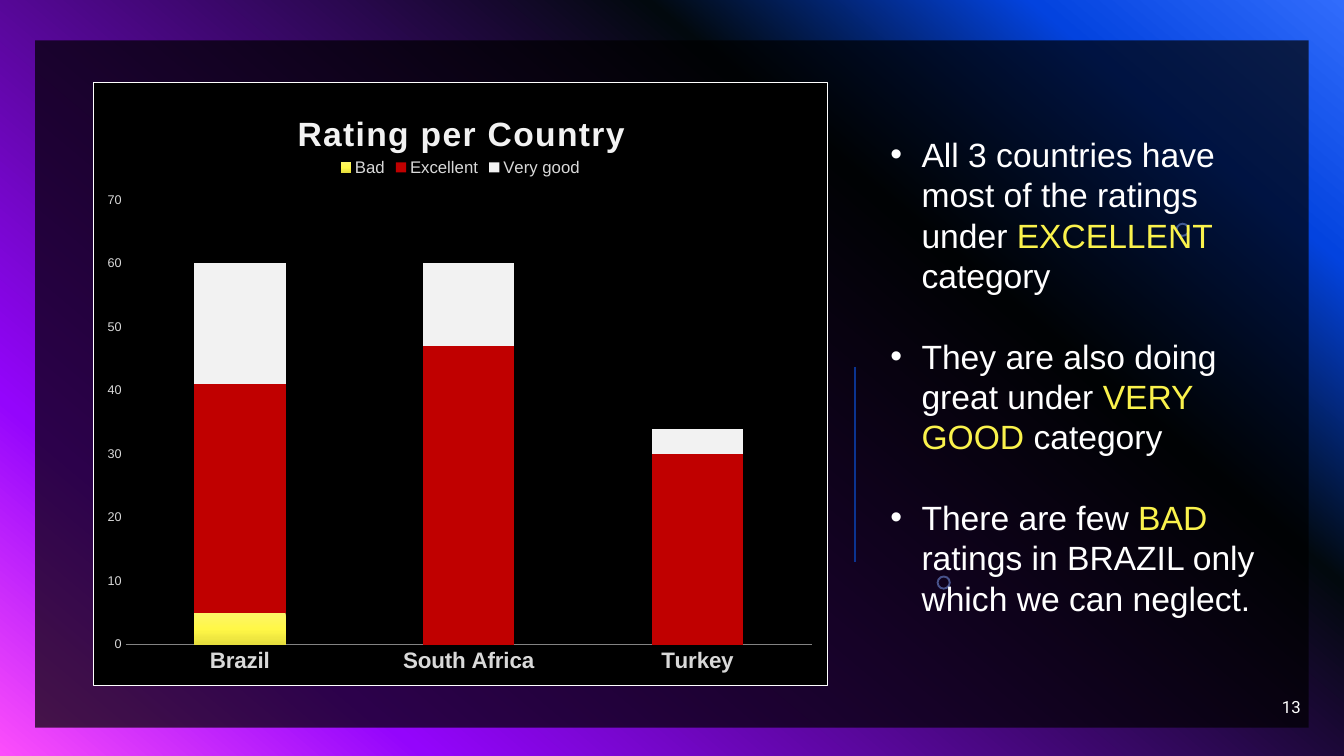
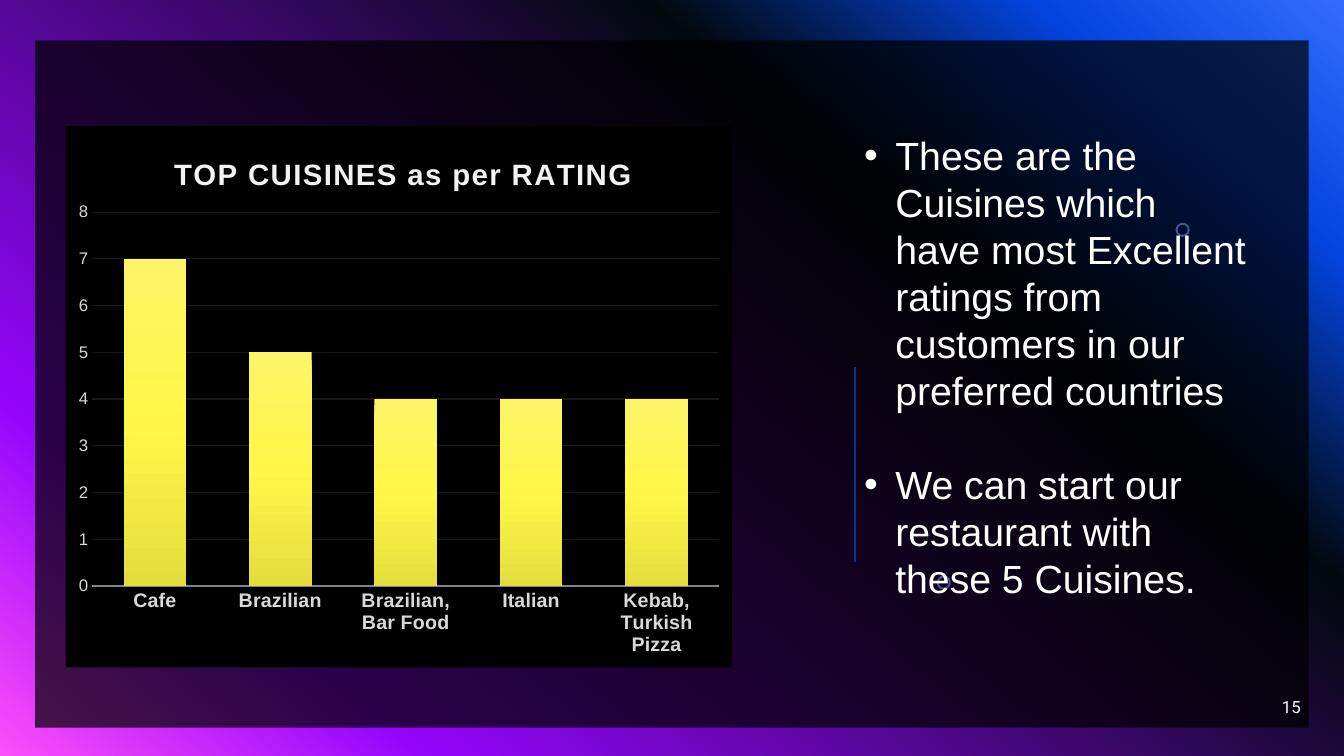
from lxml import etree
from pptx import Presentation
from pptx.chart.data import CategoryChartData
from pptx.dml.color import RGBColor
from pptx.enum import chart as ch, shapes, text
from pptx.oxml import parse_xml
from pptx.oxml.ns import nsdecls, qn
from pptx.util import Inches, Pt

HUE = {"black": "000000", "white": "FFFFFF", "pale": "F2F2F2", "label": "D9D9D9",
       "axis": "838383", "grid": "181818", "red": "C00000", "gold": "FAF24C",
       "ring": "83A7FD", "rule": "0B3491"}
NIGHT = [(0, "316CFC"), (14, "0343DF"), (31, "02090E"), (81, "9405FC"), (100, "FC4EFB")]
SUN = [(0, "FDF567"), (50, "FFF747"), (100, "E5DD3D")]


def grad(fill, root, stops, angle):
    fill.gradient()
    fill.gradient_angle = 360 - angle
    group = next(root.iter(qn("a:gsLst")))
    for old in list(group):
        group.remove(old)
    for pos, hue in stops:
        stop = etree.SubElement(group, qn("a:gs"), pos=str(pos * 1000))
        etree.SubElement(stop, qn("a:srgbClr"), val=hue)


def style(font, hue, **form):
    font.color.rgb = RGBColor.from_string(HUE[hue])
    for key, val in ({"name": "Arial"} | form).items():
        setattr(font, key, val)


PAGES = [
    {"num": "13", "box": (8.73, 1.28, 3.86, 4.95), "size": 24,
     "text": [[("All 3 countries have most of the ratings under ", "white"),
               ("EXCELLENT", "gold"), (" category", "white")],
              [("They are also doing great under ", "white"),
               ("VERY GOOD", "gold"), (" category", "white")],
              [("There are few ", "white"), ("BAD", "gold"),
               (" ratings in BRAZIL only which we can neglect.", "white")]],
     "frame": (0.92, 0.81, 7.29, 6), "kind": ch.XL_CHART_TYPE.COLUMN_STACKED,
     "title": "Rating per Country", "head": 24, "cats": ["Brazil", "South Africa", "Turkey"],
     "data": {"Bad": (5, None, None), "Excellent": (36, 47, 30), "Very good": (19, 13, 4)},
     "fills": [None, "red", "pale"], "gap": 150, "lap": 100, "top": 70, "step": 10,
     "sizes": (16, 9), "key": True, "grid": False, "edge": True,
     "spots": {"c:title": (0.27, 0.04), "c:legend": (0.33, 0.12),
               "c:plotArea": (0.044, 0.195, 0.935, 0.737)}},
    {"num": "15", "box": (8.47, 1.25, 3.99, 5.62), "size": 28,
     "text": [[("These are the Cuisines which have most Excellent ratings from "
                "customers in our preferred countries", "white")],
              [("We can start our restaurant with these 5 Cuisines.", "white")]],
     "frame": (0.65, 1.25, 6.61, 5.37), "kind": ch.XL_CHART_TYPE.COLUMN_CLUSTERED,
     "title": "TOP CUISINES as per RATING", "head": 21,
     "cats": ["Cafe", "Brazilian", "Brazilian, Bar Food", "Italian", "Kebab, Turkish Pizza"],
     "data": {"Series 1": (7, 5, 4, 4, 4)},
     "fills": [None], "gap": 100, "lap": -24, "top": 8, "step": 1,
     "sizes": (14, 12), "key": False, "grid": True, "edge": False,
     "spots": {"c:title": (0.155, 0.045), "c:plotArea": (0.04, 0.159, 0.941, 0.691)}},
]

deck = Presentation()
deck.slide_width, deck.slide_height = Inches(13.33), Inches(7.5)
master = deck.slide_master
grad(master.background.fill, master.element, NIGHT, 130)
base = deck.slide_layouts[1]

for page in PAGES:
    slide = deck.slides.add_slide(base)
    title = slide.shapes.title.element
    title.getparent().remove(title)

    # Panel, rings and rule, kept on the layout
    if page is PAGES[0]:
        parts = []
        for kind, spot, hue, alpha in [
                (shapes.MSO_SHAPE.RECTANGLE, (0.35, 0.4, 12.63, 6.82), "black", 70),
                (shapes.MSO_SHAPE.DONUT, (11.66, 2.21, 0.14, 0.14), "ring", 49),
                (shapes.MSO_SHAPE.DONUT, (9.29, 5.71, 0.14, 0.14), "ring", 49)]:
            part = slide.shapes.add_shape(kind, *map(Inches, spot))
            part.shadow.inherit = False
            part.line.fill.background()
            part.fill.solid()
            part.fill.fore_color.rgb = RGBColor.from_string(HUE[hue])
            if kind == shapes.MSO_SHAPE.DONUT:
                part.adjustments[0] = 0.14
            tint = next(part.element.spPr.iter(qn("a:srgbClr")))
            etree.SubElement(tint, qn("a:alpha"), val=str(alpha * 1000))
            parts.append(part)
        rule = slide.shapes.add_connector(
            shapes.MSO_CONNECTOR.STRAIGHT, *map(Inches, (8.48, 3.64, 8.48, 5.58)))
        rule.line.width = Pt(2)
        rule.line.color.rgb = RGBColor.from_string(HUE["rule"])
        etree.SubElement(rule.element.spPr, qn("a:effectLst"))
        for i, part in enumerate(parts + [rule]):
            part.element.xpath(".//p:cNvPr")[0].set("id", str(20 + i))
            base.shapes.element.append(part.element)

    # Slide number
    box = slide.shapes.add_textbox(*map(Inches, (10, 6.81, 3, 0.4)))
    frame = box.text_frame
    frame.word_wrap = True
    frame.vertical_anchor = text.MSO_ANCHOR.MIDDLE
    para = frame.paragraphs[0]
    para.alignment = text.PP_ALIGN.RIGHT
    run = para.add_run()
    run.text = page["num"]
    style(run.font, "white", name="Roboto", size=Pt(12))

    # Bullets
    body = slide.placeholders[1]
    for key, val in zip(("left", "top", "width", "height"), page["box"]):
        setattr(body, key, Inches(val))
    frame = body.text_frame
    frame.auto_size = text.MSO_AUTO_SIZE.NONE
    lead = Pt(page["size"] * 1.2)
    for i, runs in enumerate(page["text"]):
        para = frame.add_paragraph() if i else frame.paragraphs[0]
        props = para._p.get_or_add_pPr()
        props.set("marL", str(Inches(0.31)))
        props.set("indent", str(-Inches(0.31)))
        para.line_spacing = lead
        para.space_before = lead if i else Pt(0)
        for words, hue in runs:
            run = para.add_run()
            run.text = words
            style(run.font, hue, size=Pt(page["size"]))

    # Chart
    data = CategoryChartData()
    data.categories = page["cats"]
    for name, vals in page["data"].items():
        data.add_series(name, vals)
    chart = slide.shapes.add_chart(
        page["kind"], *map(Inches, page["frame"]), data).chart
    style(chart.font, "label", size=Pt(10))
    plot = chart.plots[0]
    form = {"gap_width": page["gap"], "overlap": page["lap"], "vary_by_categories": False}
    for key, val in form.items():
        setattr(plot, key, val)
    for ser, hue in zip(plot.series, page["fills"]):
        fill = ser.format.fill
        if hue:
            fill.solid()
            fill.fore_color.rgb = RGBColor.from_string(HUE[hue])
        else:
            grad(fill, ser._element, SUN, 90)

    # Axes
    cat, val = chart.category_axis, chart.value_axis
    for axis, size, bold in zip((cat, val), page["sizes"], (True, False)):
        axis.major_tick_mark = axis.minor_tick_mark = ch.XL_TICK_MARK.NONE
        style(axis.tick_labels.font, "label", size=Pt(size), bold=bold)
    cat.format.line.width = Pt(1)
    cat.format.line.color.rgb = RGBColor.from_string(HUE["axis"])
    val.format.line.fill.background()
    form = {"minimum_scale": 0, "maximum_scale": page["top"],
            "major_unit": page["step"], "has_major_gridlines": page["grid"]}
    for key, num in form.items():
        setattr(val, key, num)
    if page["grid"]:
        line = val.major_gridlines.format.line
        line.width = Pt(0.75)
        line.color.rgb = RGBColor.from_string(HUE["grid"])

    # Chart title and legend
    chart.has_title = True
    para = chart.chart_title.text_frame.paragraphs[0]
    run = para.add_run()
    run.text = page["title"]
    style(run.font, "pale", size=Pt(page["head"]), bold=True)
    run._r.get_or_add_rPr().set("spc", "100")
    chart.has_legend = page["key"]
    if page["key"]:
        chart.legend.position = ch.XL_LEGEND_POSITION.TOP
        chart.legend.include_in_layout = False
        style(chart.legend.font, "label", size=Pt(12))

    # Chart background and inner layout
    root = chart.element
    edge = ('<a:solidFill><a:srgbClr val="%s"/></a:solidFill>' % HUE["white"]
            if page["edge"] else "<a:noFill/>")
    root.find(qn("c:chart")).addnext(parse_xml(
        f'<c:spPr {nsdecls("c", "a")}><a:solidFill><a:srgbClr val="{HUE["black"]}"/>'
        f'</a:solidFill><a:ln w="{Pt(0.75)}">{edge}</a:ln></c:spPr>'))
    for tag, spot in page["spots"].items():
        part = root.find(qn("c:chart")).find(qn(tag))
        for old in part.findall(qn("c:layout")):
            part.remove(old)
        place = etree.Element(qn("c:layout"))
        part.insert(0 if tag == "c:plotArea" else 1, place)
        hand = etree.SubElement(place, qn("c:manualLayout"))
        inner = [("layoutTarget", "inner")] if tag == "c:plotArea" else []
        for key, num in inner + [("xMode", "edge"), ("yMode", "edge"), *zip("xywh", spot)]:
            etree.SubElement(hand, qn("c:" + key), val=str(num))

deck.save("out.pptx")
